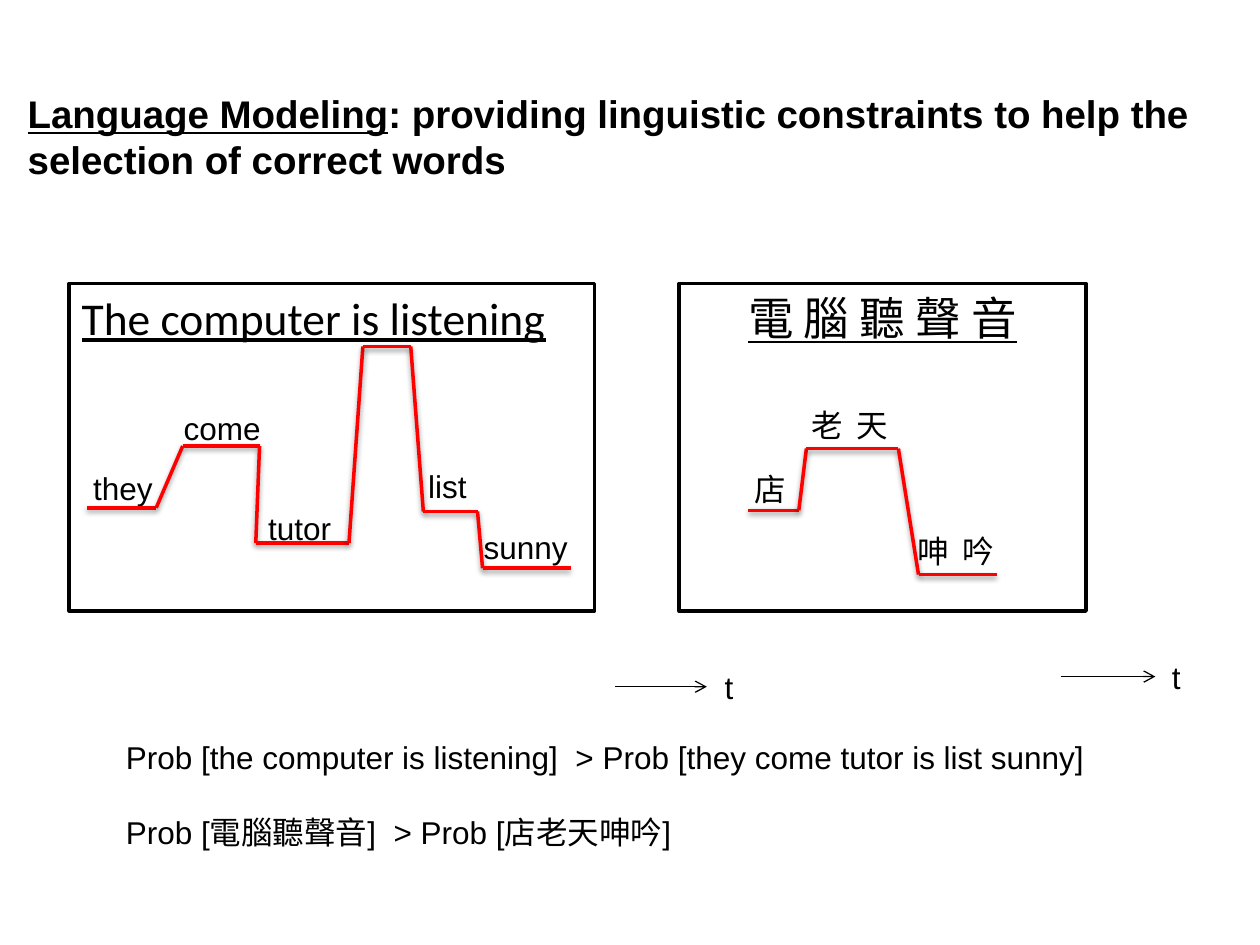
from itertools import pairwise

from lxml import etree
from pptx import Presentation
from pptx.dml.color import RGBColor
from pptx.enum.shapes import MSO_CONNECTOR, MSO_SHAPE
from pptx.enum.text import MSO_ANCHOR, PP_ALIGN
from pptx.oxml.ns import qn
from pptx.util import Inches, Pt

BLACK = RGBColor(0x00, 0x00, 0x00)
WHITE = RGBColor(0xFF, 0xFF, 0xFF)
RED = RGBColor(0xFF, 0x00, 0x00)
RECTANGLE = MSO_SHAPE.RECTANGLE
STRAIGHT = MSO_CONNECTOR.STRAIGHT
TOP, MIDDLE = MSO_ANCHOR.TOP, MSO_ANCHOR.MIDDLE
LEFT, CENTER, JUSTIFY = PP_ALIGN.LEFT, PP_ALIGN.CENTER, PP_ALIGN.JUSTIFY
CJK = "Noto Sans CJK SC"

deck = Presentation()
deck.slide_width, deck.slide_height = Inches(10), Inches(7.5)
page = deck.slides.add_slide(deck.slide_layouts[6])


def add_box(left, top, width, height, border=None, anchor=TOP, inset=0.1):
    """Add a white rectangle and return its text frame."""
    box = page.shapes.add_shape(RECTANGLE, Inches(left), Inches(top), Inches(width), Inches(height))
    box.shadow.inherit = False
    box.fill.solid()
    box.fill.fore_color.rgb = WHITE
    if border:
        box.line.color.rgb = BLACK
        box.line.width = Pt(border)
    else:
        box.line.fill.background()
    frame = box.text_frame
    frame.word_wrap = True
    frame.vertical_anchor = anchor
    frame.margin_left = Inches(inset)
    return frame


def add_span(para, text, size=18, font="Arial", align=LEFT, bold=False, underline=False):
    para.alignment = align
    span = para.add_run()
    span.text = text
    span.font.size = Pt(size)
    span.font.bold = bold
    span.font.underline = underline
    span.font.color.rgb = BLACK
    span.font.name = font
    if font == CJK:
        etree.SubElement(span.font._element, qn("a:ea"), typeface=font)


# Title
title = add_box(0.02, 0.61, 9.96, 0.94, anchor=MIDDLE, inset=0.2).paragraphs[0]
add_span(title, "Language Modeling", size=22, bold=True, underline=True)
add_span(title, ": providing linguistic constraints to help the selection of correct words", size=22, bold=True)

# Probability comparisons
comparison = add_box(0.9, 5.81, 8.51, 1.31)
add_span(comparison.paragraphs[0], "Prob [the computer is listening]  > Prob [they come tutor is list sunny]")
chinese = comparison.add_paragraph()
chinese.space_before = Pt(21)
for text, font in [("Prob [", "Arial"), ("電腦聽聲音", CJK), ("]  > Prob [", "Arial"),
                   ("店老天呻吟", CJK), ("]", "Arial")]:
    add_span(chinese, text, font=font)

# Time axis labels
for left, top in [(4.68, 5.25), (8.23, 5.17)]:
    add_span(add_box(left, top, 1.58, 0.4, inset=1.07).paragraphs[0], "t")

# Sentence panels
for text, left, width, align in [("The computer is listening", 0.55, 4.17, JUSTIFY),
                                 ("電 腦 聽 聲 音", 5.39, 3.23, CENTER)]:
    panel = add_box(left, 2.25, width, 2.6, border=2)
    add_span(panel.paragraphs[0], text, size=26, font="Calibri", align=align, underline=True)

# Candidate words
words = [
    ("they", 0.64, 3.67, 0.71), ("come", 1.36, 3.2, 0.87), ("list", 3.3, 3.66, 0.58),
    ("sunny", 3.74, 4.14, 0.87), ("tutor", 2.03, 3.99, 0.86),
    ("店", 5.89, 3.68, 0.45), ("老  天", 6.34, 3.17, 0.87), ("呻  吟", 7.18, 4.17, 0.87),
]
for word, left, top, width in words:
    box = page.shapes.add_textbox(Inches(left), Inches(top), Inches(width), Inches(0.4))
    box.text_frame.word_wrap = True
    add_span(box.text_frame.paragraphs[0], word)

# Red word paths and time arrows
english_path = [(0.69, 4.03), (1.24, 4.03), (1.45, 3.54), (2.06, 3.54), (2.03, 4.31), (2.77, 4.31),
                (2.88, 2.75), (3.26, 2.75), (3.36, 4.06), (3.79, 4.06), (3.83, 4.51), (4.53, 4.51)]
chinese_path = [(5.94, 4.05), (6.34, 4.05), (6.4, 3.56), (7.13, 3.56), (7.29, 4.56), (7.91, 4.56)]
time_arrows = [[(4.88, 5.45), (5.61, 5.45)], [(8.42, 5.37), (9.17, 5.37)]]

for points in [english_path, chinese_path, *time_arrows]:
    is_arrow = points in time_arrows
    for start, end in pairwise(points):
        line = page.shapes.add_connector(STRAIGHT, *map(Inches, start + end))
        line.line.color.rgb = BLACK if is_arrow else RED
        line.line.width = Pt(0.75 if is_arrow else 2)
        properties = line._element.spPr
        effects = etree.SubElement(properties, qn("a:effectLst"))
        if is_arrow:
            etree.SubElement(properties.find(qn("a:ln")), qn("a:tailEnd"), type="arrow")
        else:
            shadow = etree.SubElement(effects, qn("a:outerShdw"), blurRad=str(Pt(3.1)), dist=str(Pt(1.6)),
                                      dir="5400000", rotWithShape="0")
            shade = etree.SubElement(shadow, qn("a:srgbClr"), val=str(BLACK))
            etree.SubElement(shade, qn("a:alpha"), val="38000")

deck.save("out.pptx")
